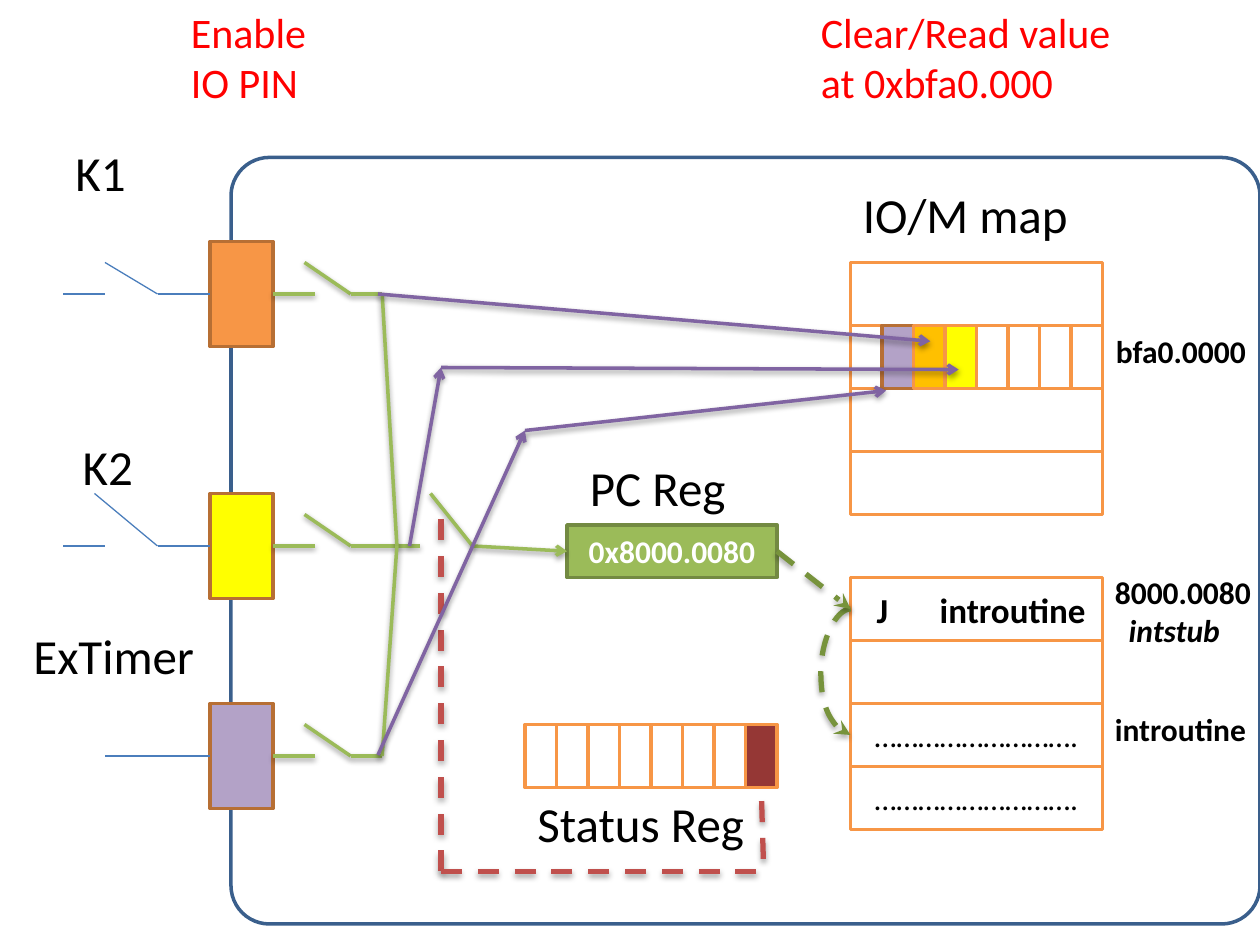
from lxml import etree
from pptx import Presentation
from pptx.dml.color import RGBColor
from pptx.enum.dml import MSO_LINE
from pptx.enum.shapes import MSO_CONNECTOR, MSO_SHAPE
from pptx.enum.text import MSO_ANCHOR, MSO_AUTO_SIZE, PP_ALIGN
from pptx.oxml.ns import qn
from pptx.util import Emu, Inches, Pt

STRAIGHT, CURVE = MSO_CONNECTOR.STRAIGHT, MSO_CONNECTOR.CURVE
RECT, ROUNDED = MSO_SHAPE.RECTANGLE, MSO_SHAPE.ROUNDED_RECTANGLE
DASH = MSO_LINE.DASH
CENTER, LEFT = PP_ALIGN.CENTER, PP_ALIGN.LEFT
MIDDLE = MSO_ANCHOR.MIDDLE
FIT_SHAPE = MSO_AUTO_SIZE.SHAPE_TO_FIT_TEXT
TOP_SIDE, LEFT_SIDE, BOTTOM_SIDE, RIGHT_SIDE = range(4)

COLORS = {
    "black": "000000", "white": "FFFFFF", "red": "FF0000", "chip": "3A5F8C",
    "wire": "4B7EBC", "cell": "F79646", "pin": "B76F34", "k2": "FFFF00",
    "timer": "B3A2C7", "k1_bit": "FFC000", "enable": "953735",
    "request": "9BBB59", "pc_edge": "738A42", "jump": "77933C",
    "status": "C0504D", "latch": "8064A2",
}
FONT = "Calibri"
COLS, ROWS = 120, 90          # the slide as a grid of square units
UNIT = Inches(10) / COLS
ROW_HEIGHT, BIT_WIDTH, BITS = 6, 3, 8

prs = Presentation()
prs.slide_width, prs.slide_height = Emu(int(COLS * UNIT)), Emu(int(ROWS * UNIT))
slide = prs.slides.add_slide(prs.slide_layouts[6])
shapes = slide.shapes


def grid(*units):
    return [Emu(round(unit * UNIT)) for unit in units]


def rgb(name):
    return RGBColor.from_string(COLORS[name])


def style(paragraph, size, color="black", bold=False, italic=False):
    font = paragraph.font
    font.name, font.size, font.bold, font.italic = FONT, Pt(size), bold, italic
    font.color.rgb = rgb(color)


def indent(paragraph, inches):
    props = paragraph._p.get_or_add_pPr()
    props.set("marL", str(Inches(inches)))
    props.set("indent", "0")
    return props


def label(box, lines, size=28, color="black", bold=False):
    frame = shapes.add_textbox(*grid(*box)).text_frame
    frame.word_wrap, frame.auto_size = False, FIT_SHAPE
    frame.text = lines
    for paragraph in frame.paragraphs:
        style(paragraph, size, color, bold)
    return frame


def block(box, fill, edge="cell", text="", size=18, color="black", bold=False, form=RECT):
    shape = shapes.add_shape(form, *grid(*box))
    shape.shadow.inherit = False
    if fill:
        shape.fill.solid()
        shape.fill.fore_color.rgb = rgb(fill)
    else:
        shape.fill.background()
    shape.line.color.rgb, shape.line.width = rgb(edge), Pt(2)
    if text:
        shape.text_frame.text = text
        shape.text_frame.vertical_anchor = MIDDLE
        paragraph = shape.text_frame.paragraphs[0]
        paragraph.alignment = CENTER
        style(paragraph, size, color, bold)
    return shape


def line(start, end, color, width=2, dashed=False, head=None, shadow=True, form=STRAIGHT):
    link = shapes.add_connector(form, *grid(*start, *end))
    link.line.color.rgb, link.line.width = rgb(color), Pt(width)
    if dashed:
        link.line.dash_style = DASH
    if head:
        etree.SubElement(link.line._get_or_add_ln(), qn("a:tailEnd"), type=head)
    effects = etree.SubElement(link._element.spPr, qn("a:effectLst"))
    if shadow:
        cast = etree.SubElement(effects, qn("a:outerShdw"), blurRad="40000",
                                dist="23000" if dashed else "20000",
                                dir="5400000", rotWithShape="0")
        black = etree.SubElement(cast, qn("a:srgbClr"), val=COLORS["black"])
        etree.SubElement(black, qn("a:alpha"), val="35000" if dashed else "38000")
    return link


def pin_input(box, fill, name, name_box, reach, lever=None):
    """A pin with its outer key (lever tip given) and the enable switch inside."""
    left, top, width, height = box
    right, middle = left + width, top + height / 2
    pin = block(box, fill, "pin")
    label(name_box, name)

    contact = left - 5 if lever else left - 10
    feed = line((left, middle), (contact, middle), "wire", 0.75, shadow=False)
    feed.begin_connect(pin, LEFT_SIDE)
    if lever:
        line((left - 10, middle), (left - 14, middle), "wire", 0.75, shadow=False)
        line((contact, middle), (left + lever[0], middle + lever[1]),
             "wire", 0.75, shadow=False)

    stub = line((right, middle), (right + 4, middle), "request")
    stub.begin_connect(pin, RIGHT_SIDE)
    hinge = right + 7.4
    line((right + 3, middle - 3), (hinge, middle), "request")
    line((hinge, middle), (hinge + reach, middle), "request")


def bit_row(left, top, fills, edges=None):
    return [block((left + i * BIT_WIDTH, top, BIT_WIDTH, ROW_HEIGHT), fill,
                  (edges or {}).get(i, "cell"))
            for i, fill in enumerate(fills)]


def io_map(left, top, width):
    label((left, top - 8, 23.3, 6.8), "IO/M map")
    for row in (0, 2, 3):
        block((left, top + row * ROW_HEIGHT, width, ROW_HEIGHT), "white")
    bit_row(left, top + ROW_HEIGHT,
            ["white", "timer", "k1_bit", "k2"] + ["white"] * 4, {1: "pin"})
    label((left + width + 0.1, top + ROW_HEIGHT, 14.9, 4.8), "bfa0.0000", 18, bold=True)


def program_memory(left, top, width):
    """Returns the row that holds the jump instruction."""
    dots = "………………………."
    jump, *_ = [block((left, top + i * ROW_HEIGHT, width, ROW_HEIGHT), "white",
                      text=text, size=20 if i == 0 else 18, bold=i == 0)
                for i, text in enumerate(["J\tintroutine", "", dots, dots])]
    opcode = jump.text_frame.paragraphs[0]
    opcode.alignment = LEFT
    props = indent(opcode, 0.11)
    stops = etree.Element(qn("a:tabLst"))
    etree.SubElement(stops, qn("a:tab"), pos=str(Inches(0.52)), algn="l")
    props.insert(0, stops)

    right = left + width
    stub = label((right, top - 1, 15.5, 8.5), "8000.0080\nintstub", 18, bold=True)
    stub.paragraphs[1].font.italic = True
    indent(stub.paragraphs[1], 0.11)
    label((right, top + 2 * ROW_HEIGHT, 15, 4.8), "introutine", 18, bold=True)

    bend = 3
    sliver = 0.02             # a curve needs some width for its bend to scale
    loop = line((left + sliver, top + 3), (left, top + 3 + 2 * ROW_HEIGHT),
                "jump", 3, True, "stealth", form=CURVE)
    loop.element.spPr.find(qn("a:prstGeom")).get_or_add_avLst()
    guides = loop.element.spPr.find(qn("a:prstGeom")).find(qn("a:avLst"))
    etree.SubElement(guides, qn("a:gd"), name="adj1",
                     fmla=f"val {round(bend / sliver * 100000)}")
    return jump


def pc_register(box):
    left, top, *_ = box
    label((left + 1, top - 7, 15.5, 6.8), "PC Reg")
    return block(box, "request", "pc_edge", "0x8000.0080", color="white", bold=True)


def status_register(left, top):
    """Returns the bit that enables interrupts."""
    label((left, top + ROW_HEIGHT, 22.3, 6.8), "Status Reg")
    return bit_row(left, top, ["white"] * (BITS - 1) + ["enable"])[-1]


def request_lines(pc, jump, enable_bit):
    for start, end in [((37.8, 52), (36.4, 28)), ((36.4, 72), (37.8, 52)),
                       ((41, 47), (45, 52))]:
        line(start, end, "request")
    line((45, 52), (54, 52.5), "request", head="arrow").end_connect(pc, LEFT_SIDE)
    fetch = line((74, 52.5), (81, 58), "jump", 3, True, "stealth")
    fetch.begin_connect(pc, RIGHT_SIDE)
    fetch.end_connect(jump, LEFT_SIDE)

    line((42, 83), (42, 49), "status", 3, True)
    line((42, 83), (72, 83), "status", 3, True)
    gate = line((72.7, 81.8), (72.5, 75), "status", 3, True)
    gate.end_connect(enable_bit, BOTTOM_SIDE)


def latch_arrows():
    for start, end in [((36, 28), (88.6, 32.5)), ((42, 35), (91.3, 35.2)),
                       ((39, 52), (42, 35)), ((50, 41), (84.4, 37.2)),
                       ((36, 71.9), (50, 41))]:
        line(start, end, "latch", head="arrow")


chip = block((22, 15, 98, 73), None, "chip", form=ROUNDED)
chip.adjustments[0] = 0.05
label((17, 0, 14.4, 10.9), "Enable\nIO PIN", 24, "red")
label((77, 0, 30.2, 10.9), "Clear/Read value\nat 0xbfa0.000", 24, "red")

pin_input((20, 23, 6, 10), "cell", "K1", (6, 13, 7.3, 6.8), 3, (-10, -3))
pin_input((20, 47, 6, 10), "k2", "K2", (6.7, 41, 7.3, 6.8), 6.6, (-11, -5))
pin_input((20, 67, 6, 10), "timer", "ExTimer", (2, 59, 17.9, 6.8), 3)
pc_reg = pc_register((54, 50, 20, 5))
interrupt_enable = status_register(50, 69)
io_map(81, 25, 24)
jump_row = program_memory(81, 55, 24)
request_lines(pc_reg, jump_row, interrupt_enable)
latch_arrows()

prs.save("out.pptx")
